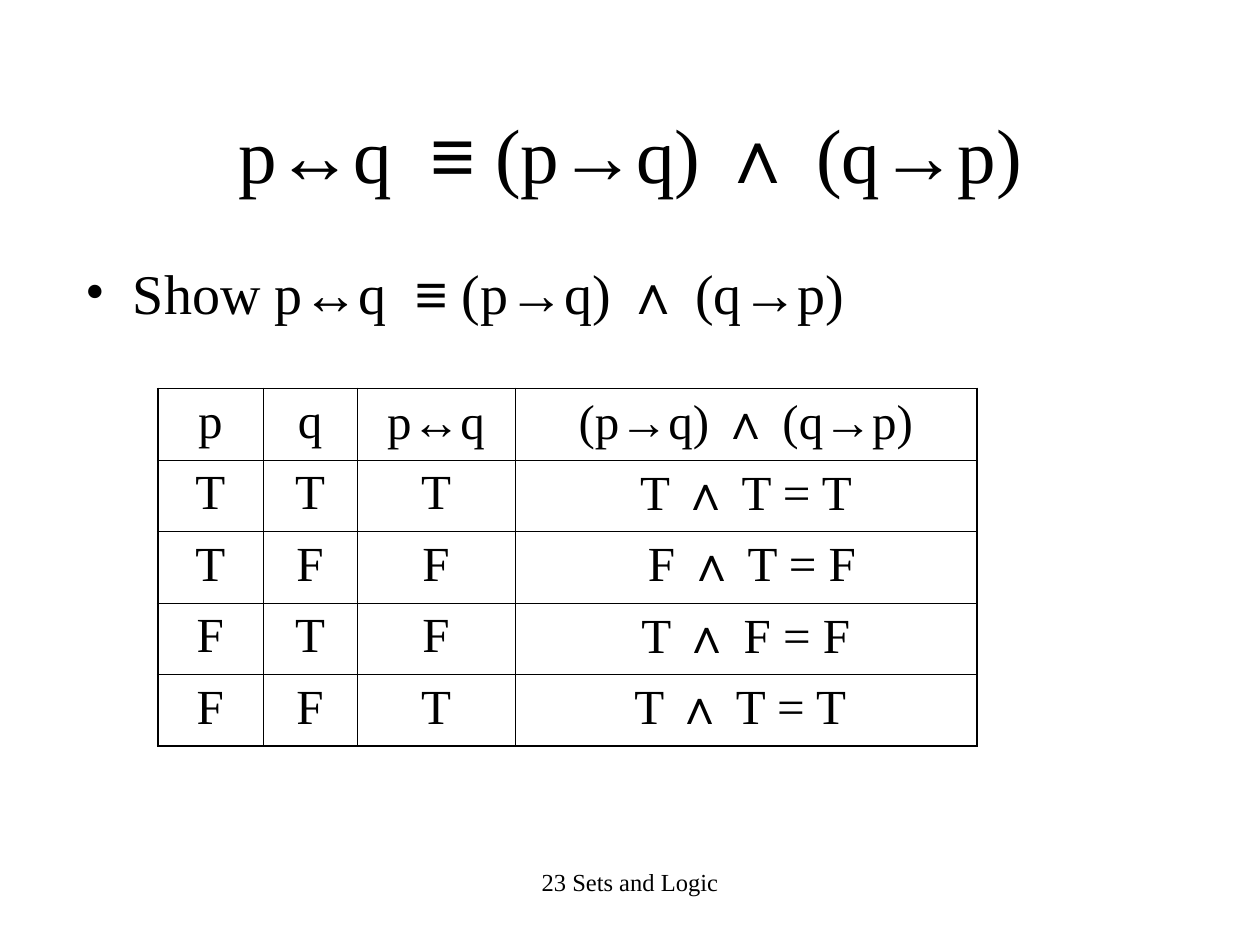
from itertools import groupby

from lxml import etree
from pptx import Presentation
from pptx import util as u
from pptx.dml.color import RGBColor
from pptx.enum import text
from pptx.oxml import ns

SIGNS = "↔≡→∧"
CLAIM = "p↔q  ≡ (p→q) ∧ (q→p)"
ROWS = [
    ("p", "q", "p↔q", "(p→q) ∧ (q→p)"),
    ("T", "T", "T", "T ∧ T = T"),
    ("T", "F", "F", " F ∧ T = F"),
    ("F", "T", "F", "T ∧ F = F"),
    ("F", "F", "T", "T ∧ T = T "),
]


def tint(code):
    return RGBColor.from_string(code)


class Page:
    """Holds the style and the current slide, and adds elements to it."""

    ink, serif, sans = "000000", "Times New Roman", "Arial"
    inner, outer = 0.45, 1.08

    def __init__(self, slide):
        self.slide = slide
        fill = slide.background.fill
        fill.solid()
        fill.fore_color.rgb = tint("FFFFFF")

    def phrase(self, para, words, size, before=0, center=True):
        para.alignment = text.PP_ALIGN.CENTER if center else text.PP_ALIGN.LEFT
        para.space_before = u.Pt(before)
        para.font.size = u.Pt(size)
        para.font.name = self.serif
        para.font.color.rgb = tint(self.ink)
        for sign, part in groupby(words, lambda c: c in SIGNS):
            run = para.add_run()
            run.text = "".join(part)
            run.font.size = u.Pt(size)
            run.font.name = self.sans if sign else self.serif
            run.font.color.rgb = tint(self.ink)

    def label(self, box, words, size, middle=False, **look):
        frame = self.slide.shapes.add_textbox(*map(u.Cm, box)).text_frame
        frame.word_wrap = True
        if middle:
            frame.vertical_anchor = text.MSO_ANCHOR.MIDDLE
        para = frame.paragraphs[0]
        self.phrase(para, words, size, **look)
        return para

    def bullet(self, box, words, size):
        para = self.label(box, words, size, before=8, center=False)
        props = para._p.get_or_add_pPr()
        props.set("marL", str(u.Cm(0.95)))
        props.set("indent", str(u.Cm(-0.95)))
        base = props.find(ns.qn("a:defRPr"))
        base.addprevious(etree.Element(ns.qn("a:buFont"), typeface=self.serif))
        base.addprevious(etree.Element(ns.qn("a:buChar"), char="•"))

    def edge(self, cell, sides):
        props = cell._tc.get_or_add_tcPr()
        for spot, (side, thick) in enumerate(sides.items()):
            line = etree.Element(ns.qn("a:ln" + side), w=str(u.Pt(thick)))
            fill = etree.SubElement(line, ns.qn("a:solidFill"))
            etree.SubElement(fill, ns.qn("a:srgbClr"), val=self.ink)
            props.insert(spot, line)

    def table(self, left, top, wide, high, rows, size):
        deep, span = len(rows), len(wide)
        box = map(u.Cm, (left, top, sum(wide), high * deep))
        grid = self.slide.shapes.add_table(deep, span, *box).table
        grid.first_row = grid.horz_banding = False
        for col, width in zip(grid.columns, wide):
            col.width = u.Cm(width)
        for r, row in enumerate(rows):
            grid.rows[r].height = u.Cm(high)
            for c, words in enumerate(row):
                cell = grid.cell(r, c)
                cell.fill.background()
                self.phrase(cell.text_frame.paragraphs[0], words, size, before=7)
                rims = {"L": c == 0, "R": c == span - 1,
                        "T": r == 0, "B": r == deep - 1}
                self.edge(cell, {side: self.outer if rim else self.inner
                                 for side, rim in rims.items()})


def main():
    deck = Presentation()
    deck.slide_width, deck.slide_height = u.Cm(25.4), u.Cm(19.05)
    page = Page(deck.slides.add_slide(deck.slide_layouts[6]))
    page.bullet((1.48, 5.08, 22.65, 5.08), "Show " + CLAIM, 32)
    page.label((1.9, 1.48, 21.6, 3.18), CLAIM, 44, middle=True)
    page.table(3.18, 7.83, (2.12, 1.9, 3.18, 9.31), 1.44, ROWS, 28)
    page.label((8.68, 17.36, 8.04, 1.27), "23 Sets and Logic", 14)
    deck.save("out.pptx")


if __name__ == "__main__":
    main()
